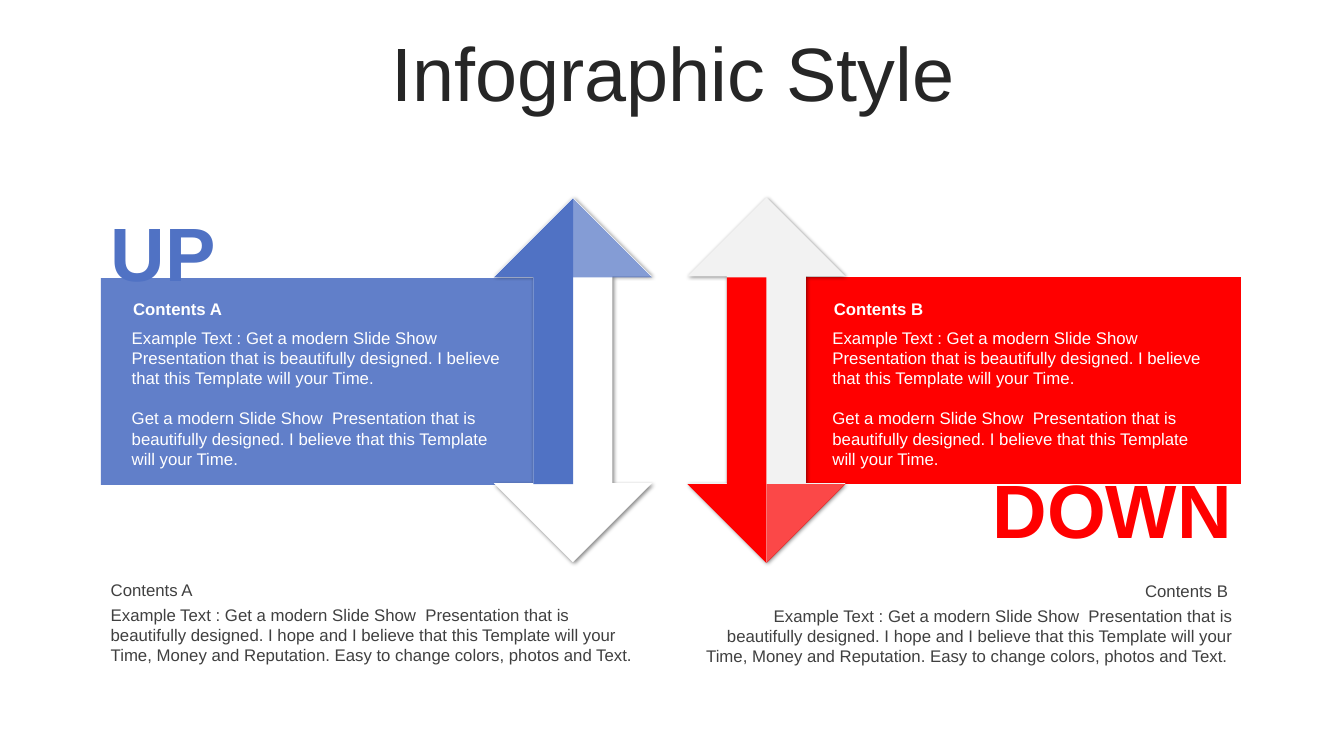
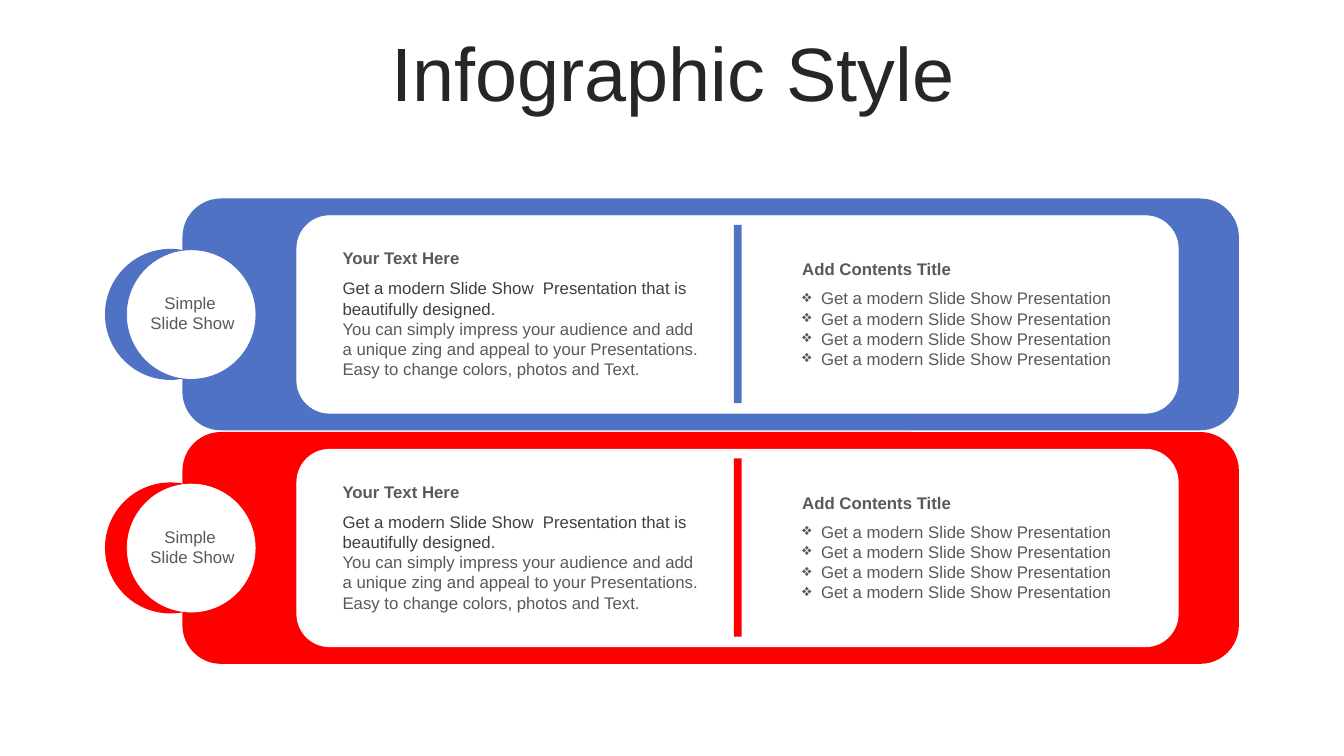
"""Build two infographic slides: an up/down comparison and a pair of content bands."""
import lxml.etree
import pptx
import pptx.dml.color
import pptx.enum.shapes
import pptx.enum.text
import pptx.oxml.ns
import pptx.util

Pt = pptx.util.Pt
qn = pptx.oxml.ns.qn
SHAPE = pptx.enum.shapes.MSO_SHAPE
ALIGN = pptx.enum.text.PP_ALIGN
ANCHOR = pptx.enum.text.MSO_ANCHOR

COLORS = {
    "blue": "5072C4",
    "red": "FF0000",
    "white": "FFFFFF",
    "pale": "F2F2F2",
    "title": "262626",
    "dark": "404040",
    "gray": "595959",
}


class Deck:
    font = "Arial"
    body_size = 12
    big_size = 54

    def __init__(self):
        self.show = pptx.Presentation()
        self.show.slide_width, self.show.slide_height = Pt(960), Pt(540)
        self.slide = None

    def color(self, name):
        return pptx.dml.color.RGBColor.from_string(COLORS[name])

    def new_slide(self, title):
        self.slide = self.show.slides.add_slide(self.show.slide_layouts[6])
        heading = self.text((25.2, 26.6, 911.5, 56.9), [title], "title", size=self.big_size,
                            align=ALIGN.CENTER, anchor=ANCHOR.MIDDLE)
        heading.paragraphs[0].line_spacing = 0.9

    def paint(self, shape, fill, opacity=100, outline=None):
        shape.shadow.inherit = False
        shape.fill.solid()
        shape.fill.fore_color.rgb = self.color(fill)
        if opacity < 100:
            tint = shape._element.spPr.find(qn("a:solidFill"))[0]
            lxml.etree.SubElement(tint, qn("a:alpha"), val=str(opacity * 1000))
        if outline:
            shape.line.color.rgb = self.color(outline)
            shape.line.width = Pt(0.5)
        else:
            shape.line.fill.background()
        return shape

    def shape(self, kind, box, fill, opacity=100, outline=None):
        added = self.slide.shapes.add_shape(kind, *map(Pt, box))
        return self.paint(added, fill, opacity, outline)

    def polygon(self, points, fill, opacity=100):
        corners = [(Pt(x), Pt(y)) for x, y in points]
        builder = self.slide.shapes.build_freeform(*corners[0], scale=1.0)
        builder.add_line_segments(corners[1:], close=True)
        return self.paint(builder.convert_to_shape(), fill, opacity)

    def drop_shadow(self, shape):
        effects = shape._element.spPr.find(qn("a:effectLst"))
        shadow = lxml.etree.SubElement(
            effects, qn("a:outerShdw"), blurRad=str(Pt(3)), dist=str(Pt(1)),
            dir=str(45 * 60000), algn="tl", rotWithShape="0")
        shade = lxml.etree.SubElement(shadow, qn("a:srgbClr"), val="000000")
        lxml.etree.SubElement(shade, qn("a:alpha"), val="47000")

    def text(self, box, lines, color, size=body_size, bold=False, align=ALIGN.LEFT,
             anchor=ANCHOR.TOP, gap=0, bullet=None):
        frame = self.slide.shapes.add_textbox(*map(Pt, box)).text_frame
        frame.word_wrap = True
        frame.vertical_anchor = anchor
        for index, line in enumerate(lines):
            words, tone = line if isinstance(line, tuple) else (line, color)
            paragraph = frame.paragraphs[0] if index == 0 else frame.add_paragraph()
            paragraph.alignment = align
            if index and gap:
                paragraph.space_before = Pt(gap)
            if bullet:
                props = paragraph._p.get_or_add_pPr()
                props.set("marL", str(Pt(13.5)))
                props.set("indent", str(-Pt(13.5)))
                lxml.etree.SubElement(props, qn("a:buChar"), char=bullet)
            run = paragraph.add_run()
            run.text = words
            run.font.name = self.font
            run.font.size = Pt(size)
            run.font.bold = bold
            run.font.color.rgb = self.color(tone)
        return frame

    def split_arrow(self, left, base, accent, points_down):
        top, width, height = 141, 113, 260.6
        head, middle = width / 2, left + width / 2
        shaft = middle - width / 4
        arrow = self.shape(SHAPE.UP_DOWN_ARROW, (left, top, width, height), base)
        self.drop_shadow(arrow)

        def place(points):
            return [(x, top + 0.7 + (height - y if points_down else y)) for x, y in points]

        self.polygon(place([(middle, 0), (middle, height - head), (shaft, height - head),
                            (shaft, head), (left, head)]), accent)
        self.polygon(place([(middle, 0), (left + width, head), (middle, head)]), accent, 70)


def up_down_slide(deck):
    deck.new_slide("Infographic Style")
    deck.shape(SHAPE.RECTANGLE, (72, 198.7, 311.8, 147.6), "blue", 90)
    deck.shape(SHAPE.RECTANGLE, (574.6, 198, 311.8, 147.6), "red")
    deck.text((72, 143.3, 118.8, 72.7), ["UP"], "blue", deck.big_size, True,
              anchor=ANCHOR.MIDDLE)
    deck.text((688.3, 326.9, 198.7, 72.7), ["DOWN"], "red", deck.big_size, True,
              ALIGN.RIGHT, ANCHOR.MIDDLE)
    deck.split_arrow(352.8, "white", "blue", False)
    deck.split_arrow(491, "pale", "red", True)

    pitch = ("Get a modern Slide Show  Presentation that is beautifully designed. "
             "I believe that this Template will your Time.")
    example = "Example Text : " + pitch.replace("  ", " ")
    summary = ("Example Text : Get a modern Slide Show  Presentation that is beautifully "
               "designed. I hope and I believe that this Template will your Time, Money and "
               "Reputation. Easy to change colors, photos and Text.")
    sides = [
        ("Contents A", "", 87.5, 72, 410.4, ALIGN.LEFT),
        ("Contents B", " ", 588, 493.9, 411.1, ALIGN.RIGHT),
    ]
    for name, tail, panel_left, caption_left, caption_top, align in sides:
        deck.text((panel_left + 0.5, 209.5, 284, 21.6), [name], "white", bold=True)
        deck.text((panel_left - 0.5, 230.4, 284, 108.7), [example, pitch], "white", gap=14.4)
        deck.text((caption_left, caption_top, 393.8, 21.6), [name + tail], "dark", align=align)
        deck.text((caption_left, caption_top + 18, 393.8, 51), [summary + tail], "dark",
                  align=align)


def content_bands_slide(deck):
    deck.new_slide("Infographic Style")
    story = [
        ("Get a modern Slide Show  Presentation that is beautifully designed.", "dark"),
        "You can simply impress your audience and add a unique zing and appeal to your "
        "Presentations. Easy to change colors, photos and Text.",
    ]
    for row, accent in enumerate(("blue", "red")):
        top = 141.8 + row * 166.8
        deck.shape(SHAPE.ROUNDED_RECTANGLE, (130.3, top, 754.6, 165.6), accent)
        deck.shape(SHAPE.ROUNDED_RECTANGLE, (212, top + 12.3, 629.6, 141.1), "white",
                   outline="white")
        deck.shape(SHAPE.OVAL, (75, top + 36, 93.6, 93.6), accent)
        deck.shape(SHAPE.OVAL, (90.9, top + 37.2, 91.4, 91.4), "white", outline="white")
        deck.text((96.5, top + 64, 82, 36), ["Simple ", "Slide Show"], "gray",
                  align=ALIGN.CENTER)
        deck.shape(SHAPE.RECTANGLE, (524.2, top + 18.8, 5.6, 127.4), accent)
        deck.text((237.6, top + 31.7, 272.2, 21.6), ["Your Text Here"], "gray", bold=True)
        deck.text((237.6, top + 53.3, 272.2, 80), story, "gray")
        deck.text((565.9, top + 39.5, 248.4, 21.6), ["Add Contents Title"], "gray", bold=True)
        deck.text((565.9, top + 60.5, 248.4, 65.5),
                  ["Get a modern Slide Show Presentation"] * 4, "gray", bullet="❖")


def main():
    deck = Deck()
    up_down_slide(deck)
    content_bands_slide(deck)
    deck.show.save("out.pptx")


if __name__ == "__main__":
    main()
